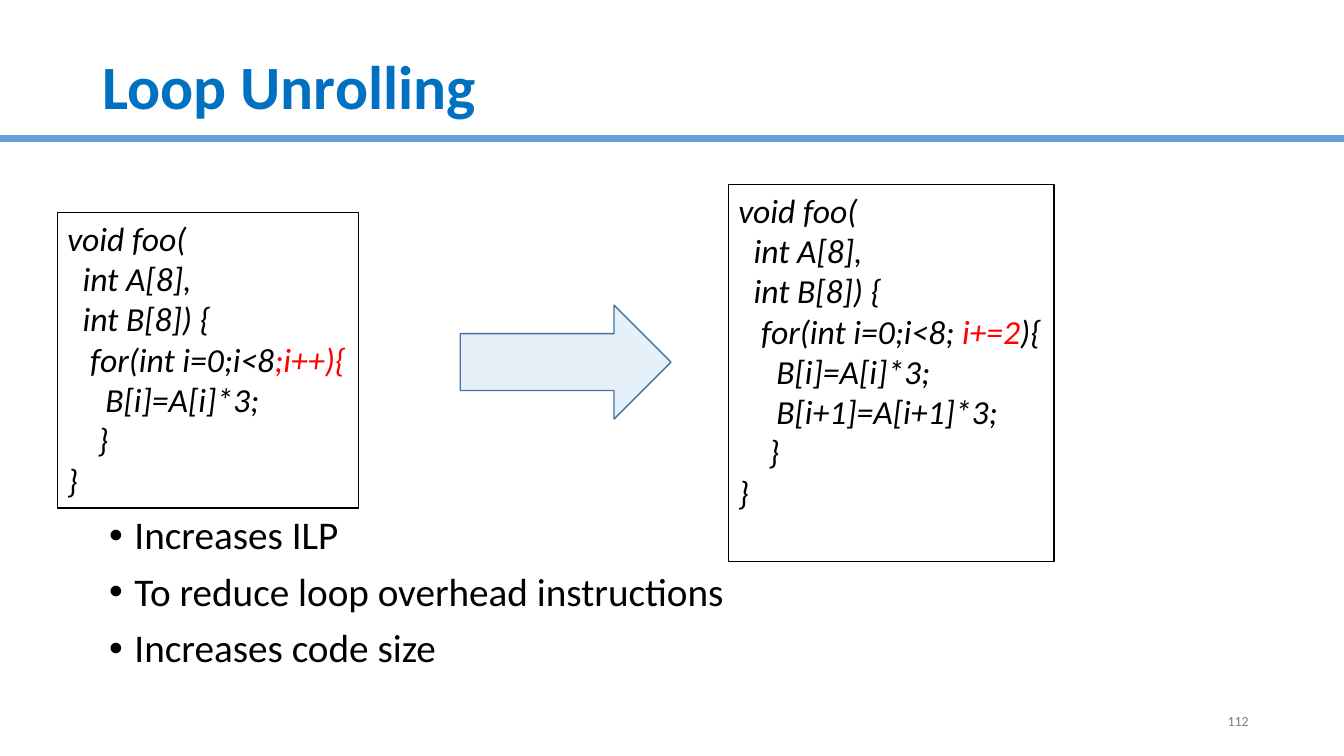
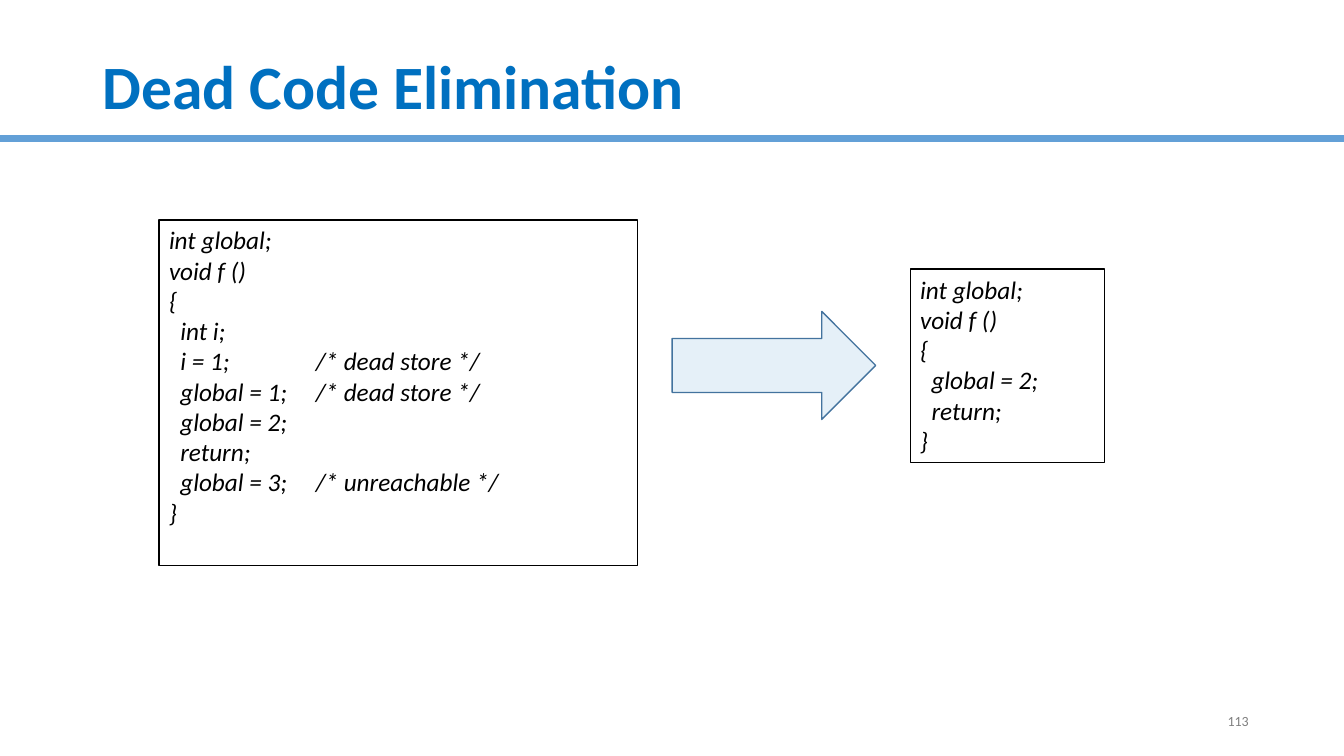
from dataclasses import dataclass

from lxml.etree import SubElement
from pptx import Presentation
from pptx.dml.color import RGBColor
from pptx.enum.shapes import MSO_CONNECTOR, MSO_SHAPE
from pptx.enum.text import MSO_ANCHOR, MSO_AUTO_SIZE, PP_ALIGN
from pptx.oxml.ns import qn
from pptx.util import Cm, Pt


@dataclass(frozen=True)
class Theme:
    font: str = "Calibri"
    title: RGBColor = RGBColor(0x00, 0x70, 0xC0)
    band: RGBColor = RGBColor(0x63, 0xA0, 0xD7)
    arrow_line: RGBColor = RGBColor(0x43, 0x73, 0x9E)
    ink: RGBColor = RGBColor(0x00, 0x00, 0x00)
    accent: RGBColor = RGBColor(0xFF, 0x00, 0x00)
    muted: RGBColor = RGBColor(0x80, 0x80, 0x80)
    title_size: int = 44
    body_size: int = 28
    large_code_size: int = 24
    small_code_size: int = 18
    number_size: int = 10


THEME = Theme()
SLIDE_WIDTH, SLIDE_HEIGHT = 33.87, 19.05
TITLE_BOX = (2.33, 1.02, 29.21, 2.49)
NUMBER_BOX = (24.1, 17.65, 7.62, 1.01)
BAND_TOP = 3.5
COMMENT_TAB = 3.7

ROLLED_LOOP = [
    ("void foo(",),
    ("  int A[8],",),
    ("  int B[8]) {",),
    ("   for(int i=0;i<8", ";i++){"),
    ("     B[i]=A[i]*3;",),
    ("    }",),
    ("}",),
]
UNROLLED_LOOP = [
    *ROLLED_LOOP[:3],
    ("   for(int i=0;i<8;", " i+=2", "){"),
    ROLLED_LOOP[4],
    ("     B[i+1]=A[i+1]*3;",),
    *ROLLED_LOOP[5:],
]
DEAD_CODE = [
    ("int global;",),
    ("void f ()",),
    ("{",),
    ("  int i;",),
    ("  i = 1;\t/* dead store */",),
    ("  global = 1;\t/* dead store */",),
    ("  global = 2;",),
    ("  return;",),
    ("  global = 3;\t/* unreachable */",),
    ("}",),
]
LIVE_CODE = [*DEAD_CODE[:3], *DEAD_CODE[6:8], DEAD_CODE[-1]]


def place(box):
    return [Cm(length) for length in box]


def style(para, size, color, bold=False, italic=False):
    font = para.font
    font.name, font.size = THEME.font, Pt(size)
    font.bold, font.italic = bold, italic
    font.color.rgb = color


def add_band(page):
    band = page.shapes.add_connector(
        MSO_CONNECTOR.STRAIGHT, Cm(0), Cm(BAND_TOP), Cm(SLIDE_WIDTH), Cm(BAND_TOP)
    )
    band.line.color.rgb = THEME.band
    band.line.width = Pt(5)
    SubElement(band.element.spPr, qn("a:effectLst"))


def add_title(page, text):
    title = page.shapes.title
    title.left, title.top, title.width, title.height = place(TITLE_BOX)
    frame = title.text_frame
    frame.text = text
    frame.auto_size = MSO_AUTO_SIZE.NONE
    frame.vertical_anchor = MSO_ANCHOR.MIDDLE
    para = frame.paragraphs[0]
    para.alignment = PP_ALIGN.LEFT
    para.line_spacing = 0.9
    style(para, THEME.title_size, THEME.title, bold=True)


def add_number(page, number):
    frame = page.shapes.add_textbox(*place(NUMBER_BOX)).text_frame
    frame.word_wrap = True
    frame.vertical_anchor = MSO_ANCHOR.MIDDLE
    para = frame.paragraphs[0]
    para.text = str(number)
    para.alignment = PP_ALIGN.RIGHT
    style(para, THEME.number_size, THEME.muted)


def add_page(deck, title, number):
    page = deck.slides.add_slide(deck.slide_layouts.get_by_name("Title Only"))
    add_band(page)
    add_title(page, title)
    add_number(page, number)
    return page


def add_code(page, box, lines, size):
    panel = page.shapes.add_shape(MSO_SHAPE.RECTANGLE, *place(box))
    panel.shadow.inherit = False
    panel.fill.background()
    panel.line.color.rgb = THEME.ink
    panel.line.width = Pt(1)
    frame = panel.text_frame
    frame.word_wrap = True
    frame.margin_right = 0
    frame.vertical_anchor = MSO_ANCHOR.TOP
    for index, line in enumerate(lines):
        para = frame.add_paragraph() if index else frame.paragraphs[0]
        para.alignment = PP_ALIGN.LEFT
        if "\t" in line[0]:
            tabs = SubElement(para._p.get_or_add_pPr(), qn("a:tabLst"))
            SubElement(tabs, qn("a:tab"), pos=str(Cm(COMMENT_TAB)), algn="l")
        style(para, size, THEME.ink, italic=True)
        for position, text in enumerate(line):
            span = para.add_run()
            span.text = text
            span.font.color.rgb = THEME.accent if position % 2 else THEME.ink


def add_arrow(page, box):
    arrow = page.shapes.add_shape(MSO_SHAPE.RIGHT_ARROW, *place(box))
    arrow.shadow.inherit = False
    arrow.fill.solid()
    arrow.fill.fore_color.rgb = THEME.title
    color = arrow.element.spPr.find(f"{qn('a:solidFill')}/{qn('a:srgbClr')}")
    SubElement(color, qn("a:alpha"), val="10000")
    arrow.line.color.rgb = THEME.arrow_line
    arrow.line.width = Pt(1)


def add_bullets(page, box, items):
    frame = page.shapes.add_textbox(*place(box)).text_frame
    frame.word_wrap = True
    for index, item in enumerate(items):
        para = frame.add_paragraph() if index else frame.paragraphs[0]
        para.text = item
        para.line_spacing = 0.9
        para.space_before = Pt(10 if index else 0)
        properties = para._p.get_or_add_pPr()
        properties.set("marL", str(Cm(0.64)))
        properties.set("indent", str(Cm(-0.64)))
        SubElement(properties, qn("a:buFont"), typeface="Arial")
        SubElement(properties, qn("a:buChar"), char="•")
        style(para, THEME.body_size, THEME.ink)


def add_loop_unrolling(deck):
    page = add_page(deck, "Loop Unrolling", 112)
    add_arrow(page, (11.6, 7.69, 5.31, 2.87))
    add_code(page, (1.45, 5.36, 7.59, 7.44), ROLLED_LOOP, THEME.large_code_size)
    add_code(page, (18.36, 4.65, 8.2, 9.5), UNROLLED_LOOP, THEME.large_code_size)
    add_bullets(
        page,
        (2.5, 12.88, 29.21, 4.34),
        ["Increases ILP", "To reduce loop overhead instructions", "Increases code size"],
    )


def add_dead_code_elimination(deck):
    page = add_page(deck, "Dead Code Elimination", 113)
    add_code(page, (4.01, 5.54, 12.06, 8.71), DEAD_CODE, THEME.small_code_size)
    add_code(page, (22.94, 6.78, 4.9, 4.88), LIVE_CODE, THEME.small_code_size)
    add_arrow(page, (16.94, 7.85, 5.13, 2.72))


def main():
    deck = Presentation()
    deck.slide_width, deck.slide_height = Cm(SLIDE_WIDTH), Cm(SLIDE_HEIGHT)
    add_loop_unrolling(deck)
    add_dead_code_elimination(deck)
    deck.save("out.pptx")


if __name__ == "__main__":
    main()
